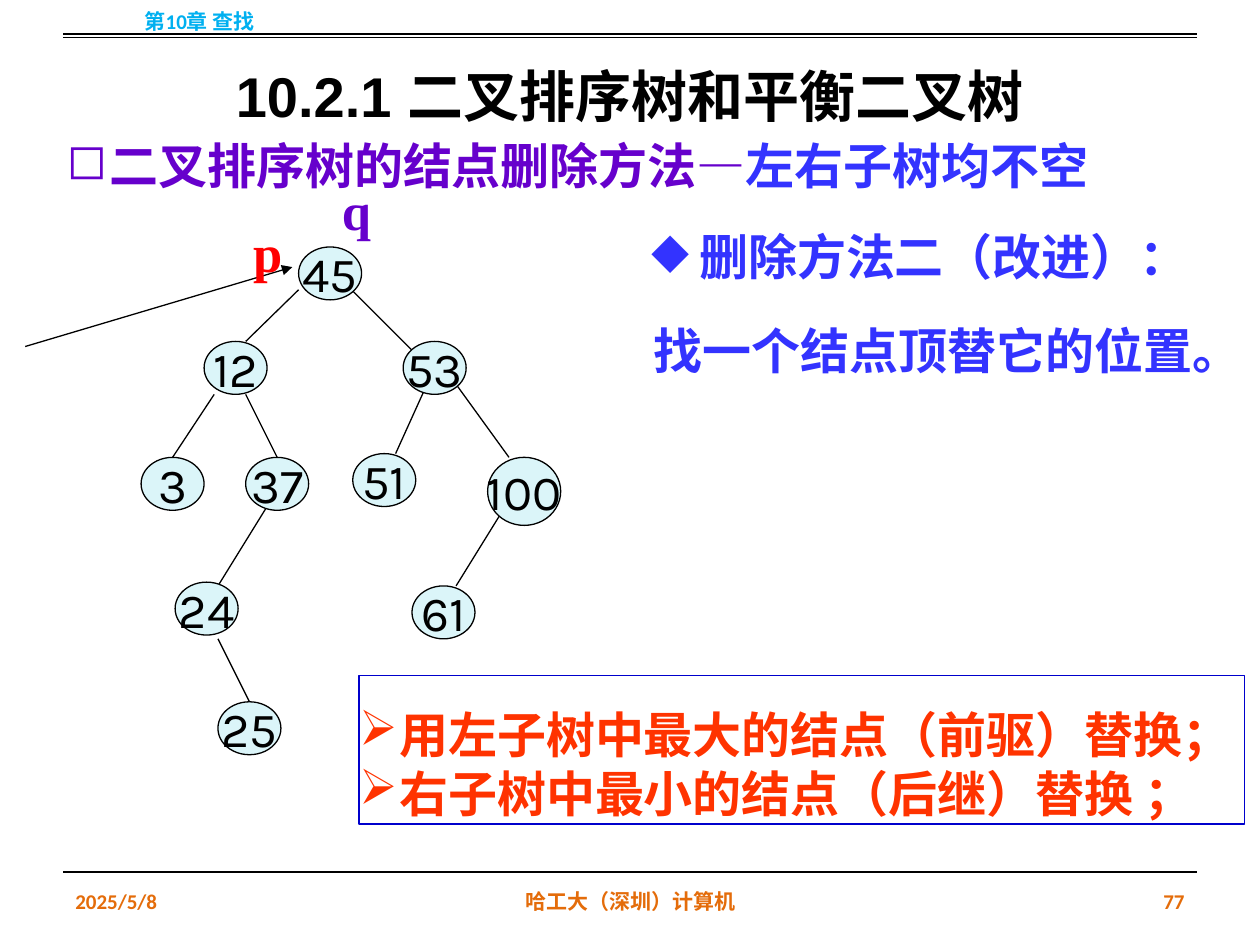
from lxml import etree
from pptx import Presentation
from pptx.dml.color import RGBColor
from pptx.enum.shapes import MSO_CONNECTOR, MSO_SHAPE
from pptx.enum.text import MSO_ANCHOR, PP_ALIGN
from pptx.oxml.ns import qn
from pptx.util import Inches, Pt

OVAL, RECT = MSO_SHAPE.OVAL, MSO_SHAPE.RECTANGLE
STRAIGHT = MSO_CONNECTOR.STRAIGHT
TOP, MIDDLE = MSO_ANCHOR.TOP, MSO_ANCHOR.MIDDLE
LEFT, CENTER, RIGHT = PP_ALIGN.LEFT, PP_ALIGN.CENTER, PP_ALIGN.RIGHT
SERIF = "Times New Roman"

COLORS = {
    "black": "000000", "node": "DBF5F9", "footer": "E46C0A", "chapter": "00B0F0",
    "blue": "3333FF", "purple": "6600CC", "red": "FF0000", "orange": "FF3300",
    "frame": "0000CC",
}
RGB = {name: RGBColor.from_string(value) for name, value in COLORS.items()}

# The slide is a grid of 100 columns and 75 rows of square cells.
CELL = Inches(0.1)

prs = Presentation()
prs.slide_width, prs.slide_height = 100 * CELL, 75 * CELL
slide = prs.slides.add_slide(prs.slide_layouts[6])
shapes = slide.shapes


def add_text(text, cells, *, color="black", font=SERIF, size=28, bold=True,
             align=LEFT, anchor=TOP, wrap=True, inset=True, bullet=None,
             indent=0, spacing=(), preset=None, fill=None, line=None):
    """Write lines of text, each a string or a list of (string, color) runs."""
    box = [round(n * CELL) for n in cells]
    if preset is None:
        shape = shapes.add_textbox(*box)
    else:
        shape = shapes.add_shape(preset, *box)
        shape.shadow.inherit = False
        shape.line.color.rgb = RGB[line]
        shape.line.width = Pt(0.75)
        if fill:
            shape.fill.solid()
            shape.fill.fore_color.rgb = RGB[fill]
        else:
            shape.fill.background()
    frame = shape.text_frame
    frame.word_wrap = wrap
    frame.vertical_anchor = anchor
    if not inset:
        frame.margin_left = frame.margin_right = frame.margin_top = frame.margin_bottom = 0
    for i, content in enumerate([text] if isinstance(text, str) else text):
        paragraph = frame.paragraphs[0] if i == 0 else frame.add_paragraph()
        paragraph.alignment = align
        if i < len(spacing):
            paragraph.line_spacing = spacing[i]
        if bullet:
            props = paragraph._p.get_or_add_pPr()
            props.set("marL", str(round(indent * CELL)))
            props.set("indent", str(-round(indent * CELL)))
            etree.SubElement(props, qn("a:buChar")).set("char", bullet)
        for words, run_color in [(content, color)] if isinstance(content, str) else content:
            run = paragraph.add_run()
            run.text = words
            run.font.name, run.font.size, run.font.bold = font, Pt(size), bold
            run.font.color.rgb = RGB[run_color]


def add_line(x1, y1, x2, y2, arrow=False):
    line = shapes.add_connector(STRAIGHT, *(round(n * CELL) for n in (x1, y1, x2, y2)))
    line.line.color.rgb = RGB["black"]
    line.line.width = Pt(0.75)
    if arrow:
        etree.SubElement(line.line._get_or_add_ln(), qn("a:tailEnd")).set("type", "triangle")
    etree.SubElement(line._element.spPr, qn("a:effectLst"))


# Title, footer and chapter mark with their rules
add_text("10.2.1 二叉排序树和平衡二叉树", (5, 0, 90, 12.5), font="Arial", size=32,
         align=CENTER, anchor=MIDDLE, spacing=[1.5])
small_print = [
    ("2025/5/8", (5, 69.5, 23.3, 4), LEFT, "footer"),
    ("哈工大（深圳）计算机", (34.2, 69.5, 31.7, 4), CENTER, "footer"),
    ("77", (71.7, 69.5, 23.3, 4), RIGHT, "footer"),
    ("第10章 查找", (0, -0.3, 31.7, 4), CENTER, "chapter"),
]
for words, cells, align, color in small_print:
    add_text(words, cells, color=color, font="Calibri", size=12, align=align, anchor=MIDDLE)
for rule_y in (2.7, 3, 69.2):
    add_line(5, rule_y, 95, rule_y)

# Binary search tree: edges first, so that the nodes cover their ends
edges = [
    (23.7, 23, 19.5, 27.1), (27.9, 23, 32.9, 28),
    (17, 31.3, 13.7, 36.3), (19.5, 31.3, 22, 36.3),
    (33.8, 30.7, 31.4, 36), (36.2, 30.5, 40.4, 36.3),
    (21.2, 40.2, 17.3, 46.5), (40.1, 40.2, 36.2, 46.5),
    (17.3, 50.7, 19.8, 55.7),
]
for edge in edges:
    add_line(*edge)
add_line(2, 27.5, 23.2, 21.2, arrow=True)

NODE_SIZE, WIDE_NODE_SIZE = (5, 4.2), (5.8, 5.4)
nodes = {
    45: (23.7, 19.6),
    12: (16.2, 27.1), 53: (32, 27.1),
    3: (11.2, 36.3), 37: (19.5, 36.3), 51: (28, 36), 100: (38.7, 36.3),
    24: (13.9, 46.2), 61: (32.7, 46.5),
    25: (17.3, 55.7),
}
for key, corner in nodes.items():
    node_size = WIDE_NODE_SIZE if key >= 100 else NODE_SIZE
    add_text(str(key), corner + node_size, font="Karla", bold=False, align=CENTER,
             anchor=MIDDLE, wrap=False, preset=OVAL, fill="node", line="black")

# Deletion method
add_text("删除方法二（改进）：", (51.7, 18, 40.5, 4.7), color="blue", inset=False,
         bullet="◆", indent=3.8)
add_text("找一个结点顶替它的位置。", (51.9, 25.4, 46.5, 4.7), color="blue", inset=False)
add_text(["用左子树中最大的结点（前驱）替换；", "右子树中最小的结点（后继）替换 ；"],
         (28.5, 53.6, 70.3, 11.8), color="orange", inset=False, bullet="➢", indent=3.2,
         spacing=[1.5], preset=RECT, line="frame")
add_text([[("二叉排序树的结点删除方法—", "purple"), ("左右子树均不空", "blue")]],
         (4.3, 10.3, 87.9, 5.7), bullet="◻", indent=3.4)

# Pointer names
for name, cells, color in [("p", (19.1, 17, 4.3, 6), "red"),
                           ("q", (26.1, 13.6, 4.4, 6.1), "purple")]:
    add_text(name, cells, color=color, size=30, align=CENTER, wrap=False)

prs.save("out.pptx")
